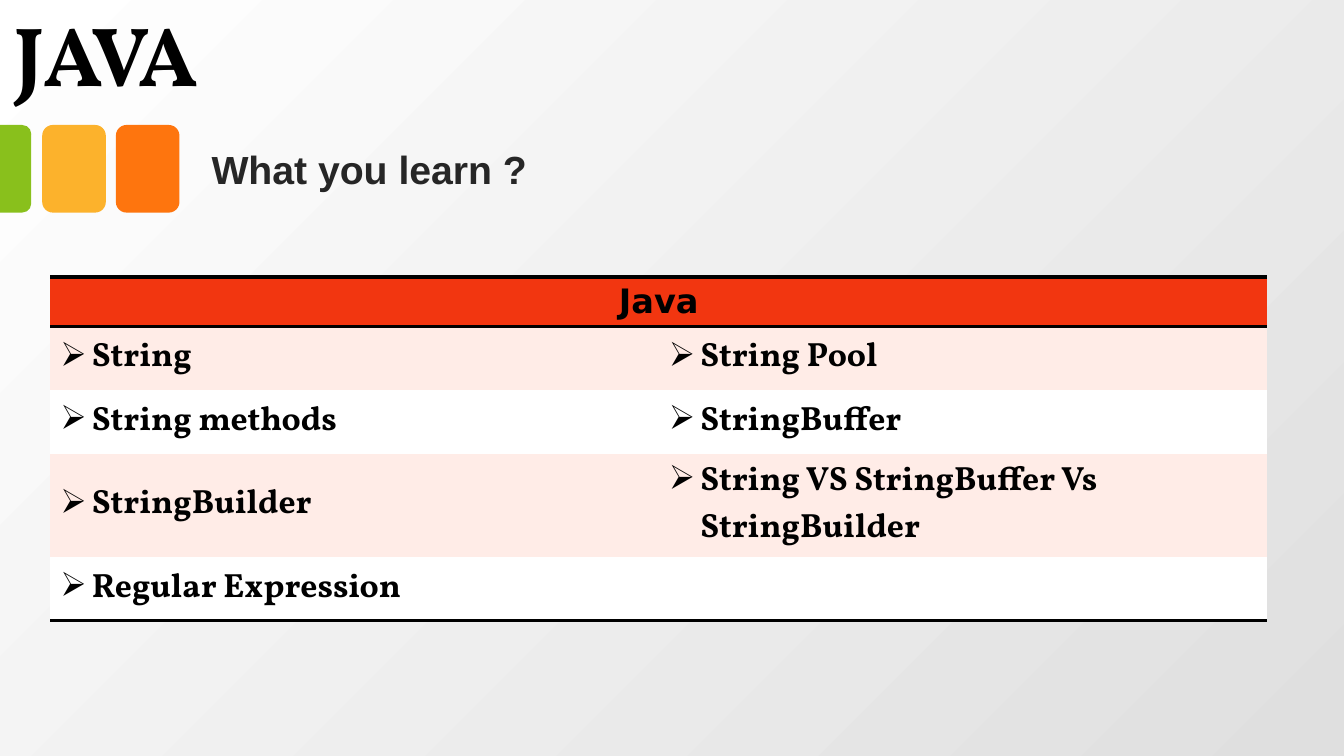
from dataclasses import dataclass

from lxml.etree import SubElement
from pptx import Presentation
from pptx.dml.color import RGBColor
from pptx.enum.shapes import MSO_SHAPE as Preset
from pptx.enum.text import MSO_ANCHOR as Anchor, MSO_AUTO_SIZE as AutoSize, PP_ALIGN as Align
from pptx.oxml import parse_xml
from pptx.oxml.ns import nsdecls, qn
from pptx.slide import Slide
from pptx.table import _Cell as Cell
from pptx.text.text import TextFrame
from pptx.util import Pt


@dataclass(frozen=True)
class Theme:
    black: str = "000000"
    heading: str = "262626"
    header: str = "F23610"
    band: str = "FFECE7"
    white: str = "FFFFFF"
    shade: str = "DFDFDF"
    orange: str = "FE750E"
    yellow: str = "FCB22C"
    green: str = "89C01C"
    serif: str = "Vollkorn"
    sans: str = "Arial"
    header_font: str = "DejaVu Sans"
    title_size: int = 60
    heading_size: int = 28
    table_size: int = 24


@dataclass(frozen=True)
class Tile:
    preset: Preset
    left: float
    top: float
    width: float
    height: float
    color: str
    corners: tuple[float, ...]
    rotation: float = 0


THEME = Theme()
TILE_WIDTH, TILE_HEIGHT, TILE_TOP, TILE_STEP = 45.4, 62.6, 89.3, 52.6
YELLOW_LEFT = 30.2
HALF_TILE = 22.3
TILES = (
    Tile(Preset.ROUNDED_RECTANGLE, YELLOW_LEFT + TILE_STEP, TILE_TOP, TILE_WIDTH, TILE_HEIGHT,
         THEME.orange, (0.167,)),
    Tile(Preset.ROUNDED_RECTANGLE, YELLOW_LEFT, TILE_TOP, TILE_WIDTH, TILE_HEIGHT,
         THEME.yellow, (0.167,)),
    # Turned a quarter, so that its rounded side faces right.
    Tile(Preset.ROUND_2_SAME_RECTANGLE, (HALF_TILE - TILE_HEIGHT) / 2,
         TILE_TOP + (TILE_HEIGHT - HALF_TILE) / 2, TILE_HEIGHT, HALF_TILE,
         THEME.green, (0.292, 0), 90),
)

TOPICS = (
    ("String", "String Pool"),
    ("String methods", "StringBuffer"),
    ("StringBuilder", "String VS StringBuffer Vs StringBuilder"),
    ("Regular Expression", ""),
)
HEADER_HEIGHT, TOPIC_HEIGHT, COLUMN_WIDTH = 33.1, 45.4, 434.6
BULLET_INDENT = 22.5
RULE_WIDTH = 3
PLAIN_TABLE_STYLE = "{2D5ABB26-0587-4C30-8999-92F81FD0307C}"


def write(frame: TextFrame, text: str, *, font: str, size: float, color: str = THEME.black,
          align: Align = Align.LEFT, line_spacing: float | None = None,
          bullet: str = "") -> None:
    paragraph = frame.paragraphs[0]
    paragraph.alignment = align
    if line_spacing:
        paragraph.line_spacing = line_spacing
    if bullet:
        properties = paragraph._p.get_or_add_pPr()
        properties.set("marL", str(Pt(BULLET_INDENT)))
        properties.set("indent", str(-Pt(BULLET_INDENT)))
        SubElement(properties, qn("a:buChar")).set("char", bullet)
    run = paragraph.add_run()
    run.text = text
    run.font.name = font
    run.font.size = Pt(size)
    run.font.bold = True
    run.font.color.rgb = RGBColor.from_string(color)


def fill_background(slide: Slide) -> None:
    fill = slide.background.fill
    fill.gradient()
    fill.gradient_angle = 315
    for stop, color in zip(fill.gradient_stops, (THEME.white, THEME.shade)):
        stop.color.rgb = RGBColor.from_string(color)


def draw_tile(slide: Slide, tile: Tile) -> None:
    shape = slide.shapes.add_shape(tile.preset, Pt(tile.left), Pt(tile.top),
                                   Pt(tile.width), Pt(tile.height))
    shape.rotation = tile.rotation
    for index, corner in enumerate(tile.corners):
        shape.adjustments[index] = corner
    shape.shadow.inherit = False
    shape.fill.solid()
    shape.fill.fore_color.rgb = RGBColor.from_string(tile.color)
    shape.line.fill.background()


def format_cell(cell: Cell, color: str, rules: tuple[str, ...] = ()) -> None:
    """Fill the cell and rule the named sides, "T" before "B"."""
    cell.vertical_anchor = Anchor.MIDDLE
    cell.fill.solid()
    cell.fill.fore_color.rgb = RGBColor.from_string(color)
    properties = cell._tc.get_or_add_tcPr()
    for index, side in enumerate(rules):
        properties.insert(index, parse_xml(
            f'<a:ln{side} {nsdecls("a")} w="{Pt(RULE_WIDTH)}"><a:solidFill>'
            f'<a:srgbClr val="{THEME.black}"/></a:solidFill></a:ln{side}>'))


def add_topic_table(slide: Slide) -> None:
    height = HEADER_HEIGHT + TOPIC_HEIGHT * len(TOPICS)
    table = slide.shapes.add_table(len(TOPICS) + 1, 2, Pt(36), Pt(198),
                                   Pt(COLUMN_WIDTH * 2), Pt(height)).table
    table._tbl.tblPr.find(qn("a:tableStyleId")).text = PLAIN_TABLE_STYLE
    table.first_row = table.horz_banding = False
    for row in table.rows:
        row.height = Pt(TOPIC_HEIGHT)
    table.rows[0].height = Pt(HEADER_HEIGHT)

    header = table.cell(0, 0)
    header.merge(table.cell(0, 1))
    for column in range(2):
        format_cell(table.cell(0, column), THEME.header, ("T", "B"))
    write(header.text_frame, "Java", font=THEME.header_font, size=THEME.table_size,
          align=Align.CENTER)

    for row, topics in enumerate(TOPICS, start=1):
        rules = ("B",) if row == len(TOPICS) else ()
        for column, topic in enumerate(topics):
            cell = table.cell(row, column)
            format_cell(cell, THEME.band if row % 2 else THEME.white, rules)
            if topic:
                write(cell.text_frame, topic, font=THEME.serif, size=THEME.table_size,
                      bullet="➢")


def add_title(slide: Slide) -> None:
    title = slide.shapes.title
    title.left, title.top, title.width, title.height = Pt(0.7), Pt(12.2), Pt(821), Pt(66.2)
    frame = title.text_frame
    frame.auto_size = AutoSize.NONE
    frame.vertical_anchor = Anchor.BOTTOM
    frame.margin_left = frame.margin_right = Pt(9.4)
    frame.margin_top = frame.margin_bottom = Pt(5)
    write(frame, "JAVA", font=THEME.serif, size=THEME.title_size, line_spacing=0.8)


def add_heading(slide: Slide) -> None:
    frame = slide.shapes.add_textbox(Pt(144), Pt(100), Pt(250.6), Pt(41)).text_frame
    frame.word_wrap = False
    frame.auto_size = AutoSize.SHAPE_TO_FIT_TEXT
    write(frame, "What you learn ?", font=THEME.sans, size=THEME.heading_size,
          color=THEME.heading)


def main() -> None:
    presentation = Presentation()
    presentation.slide_width, presentation.slide_height = Pt(960), Pt(540)
    slide = presentation.slides.add_slide(presentation.slide_layouts.get_by_name("Title Only"))
    fill_background(slide)
    for tile in TILES:
        draw_tile(slide, tile)
    add_title(slide)
    add_topic_table(slide)
    add_heading(slide)
    presentation.save("out.pptx")


if __name__ == "__main__":
    main()
